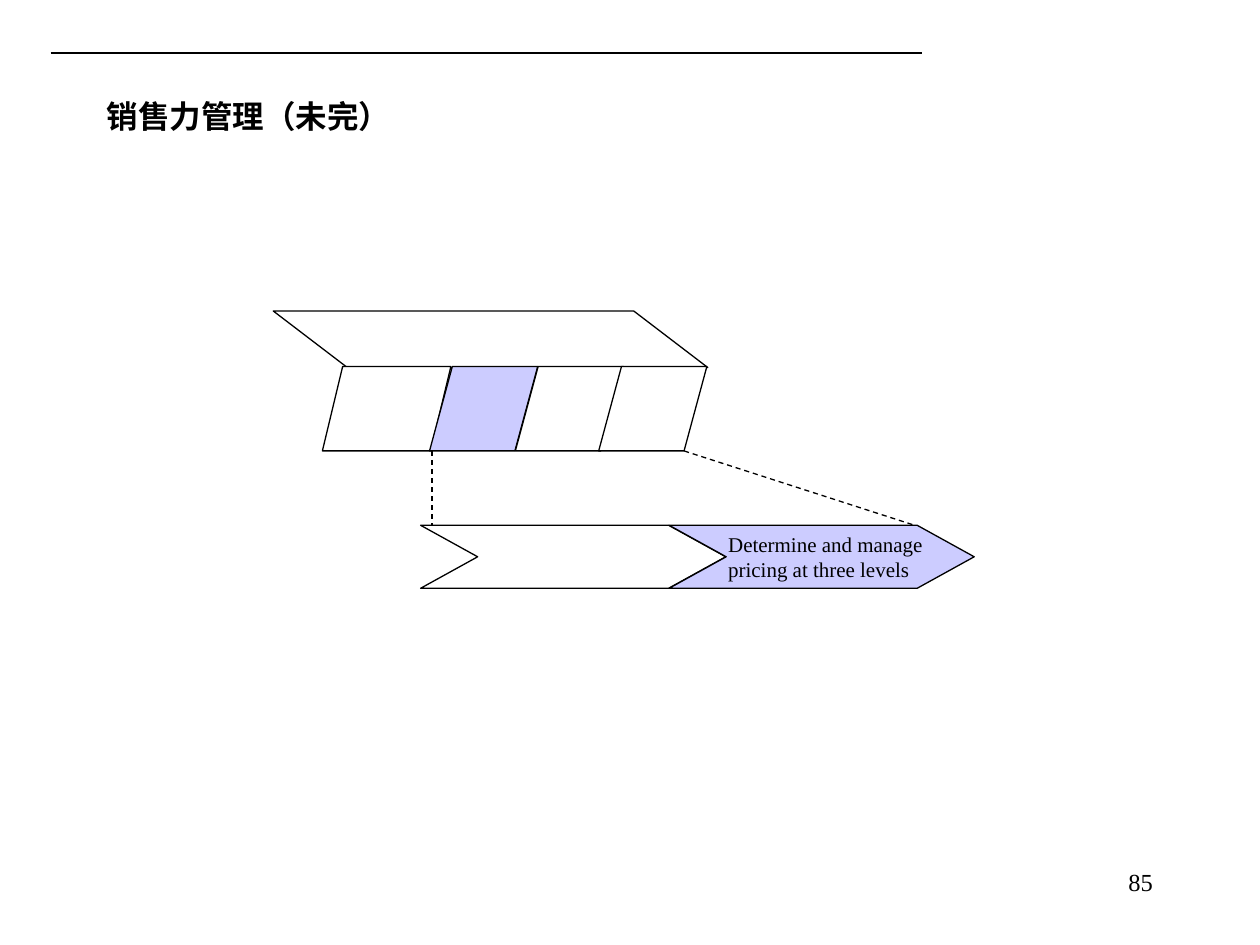
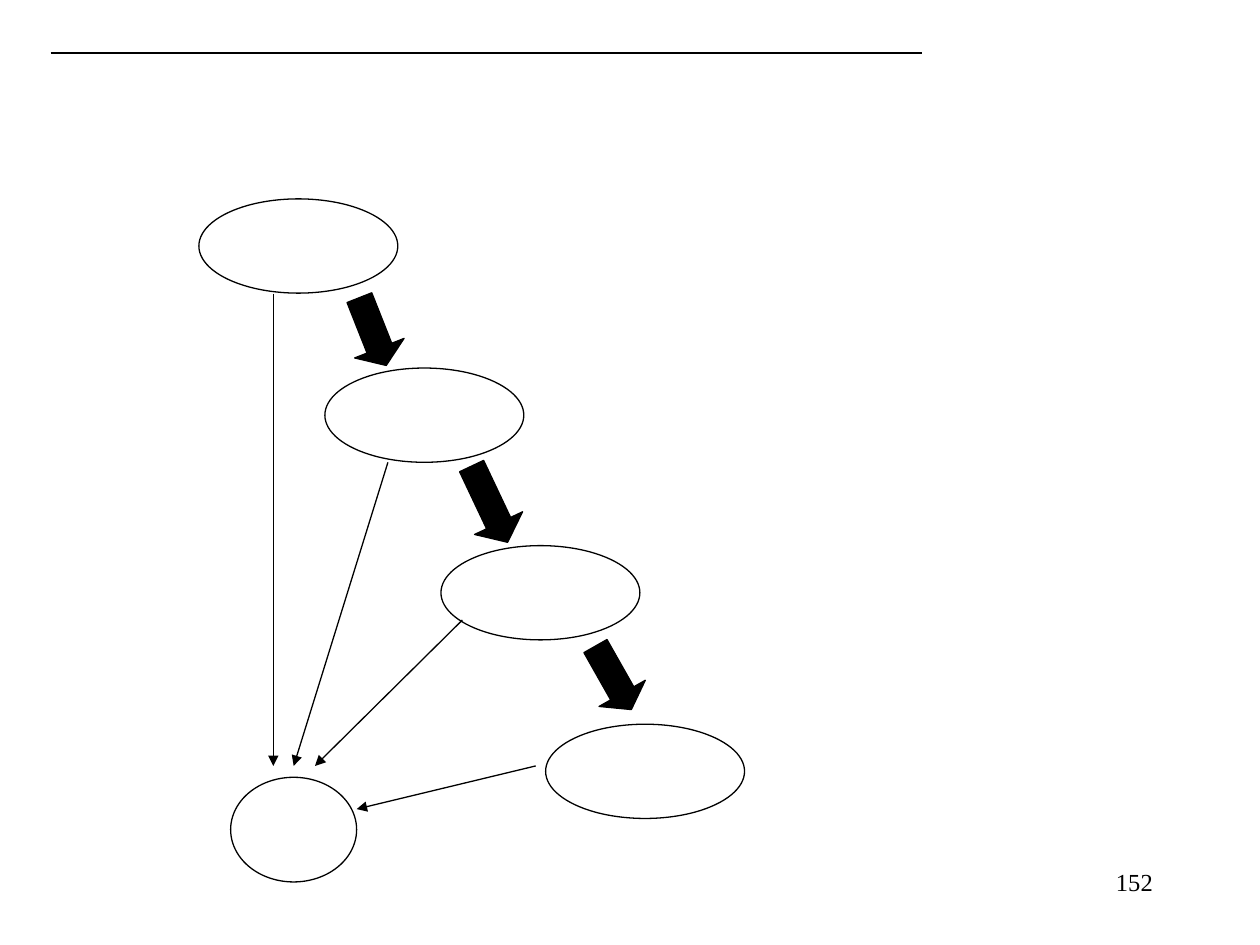
from dataclasses import dataclass

from pptx import Presentation
from pptx import util as u
from pptx.dml.color import RGBColor
from pptx.enum import dml, shapes, text
from pptx.oxml.ns import qn
from pptx.oxml.xmlchemy import OxmlElement
from pptx.util import Cm

FONT = "Times New Roman"
BLACK, WHITE, ACCENT = "000000", "FFFFFF", "CCCCFF"
KIND = shapes.MSO_SHAPE


@dataclass(frozen=True)
class Block:
    kind: int
    left: float
    top: float
    width: float
    height: float
    fill: str = WHITE
    adjustments: tuple[float, ...] = ()
    rotation: float = 0
    flip: bool = False


@dataclass(frozen=True)
class Line:
    x1: float
    y1: float
    x2: float
    y2: float
    width: float = 0.75
    dashed: bool = False
    arrow: bool = False


@dataclass(frozen=True)
class Chevron:
    left: float
    fill: str


HEADER_RULE = Line(1.02, 1.07, 18.59, 1.07, width=1.5)

ROW_TOP, ROW_HEIGHT = 7.39, 1.7
PRICING_BLOCKS = [Block(KIND.PARALLELOGRAM, 5.51, 6.27, 8.76, 1.14, adjustments=(1.31,), flip=True)] + [
    Block(KIND.PARALLELOGRAM, left, ROW_TOP, width, ROW_HEIGHT, fill, (slant,))
    for left, width, fill, slant in (
        (6.5, 2.59, WHITE, 0.24),
        (8.66, 2.18, ACCENT, 0.27),
        (10.39, 2.18, WHITE, 0.27),
        (12.07, 2.18, WHITE, 0.27),
    )
]

CHEVRON_TOP, CHEVRON_HEIGHT = 10.59, 1.27
CHEVRON_BODY, CHEVRON_POINT = 5.0, 1.15
CHEVRONS = [Chevron(8.48, WHITE), Chevron(13.49, ACCENT)]
ZOOM_LINES = [
    Line(x1, ROW_TOP + ROW_HEIGHT, x2, CHEVRON_TOP, dashed=True)
    for x1, x2 in ((8.71, 8.71), (13.79, 18.44))
]

STAGES = [
    Block(KIND.OVAL, left, top, 4.01, 1.9)
    for left, top in ((4.01, 4.01), (6.55, 7.42), (8.89, 11), (11, 14.6))
]
STAGE_ARROWS = [
    Block(KIND.RIGHT_ARROW, left, top, width, 1.07, BLACK, (0.5, head), angle)
    for left, top, width, head, angle in (
        (6.78, 6.15, 1.47, 0.35, 68.4),
        (9.02, 9.63, 1.7, 0.4, 64.7),
        (11.63, 13.13, 1.47, 0.35, 60.5),
    )
]
TARGET = Block(KIND.OVAL, 4.65, 15.67, 2.54, 2.11)
TARGET_LINES = [
    Line(x1, y1, x2, y2, arrow=True)
    for x1, y1, x2, y2 in (
        (5.51, 5.92, 5.51, 15.44),
        (7.82, 9.32, 5.92, 15.44),
        (9.32, 12.5, 6.35, 15.44),
        (10.8, 15.44, 7.19, 16.31),
    )
]


def color(hex_value: str) -> RGBColor:
    return RGBColor.from_string(hex_value)


def paint(sp, fill: str) -> None:
    sp.shadow.inherit = False
    sp.fill.solid()
    sp.fill.fore_color.rgb = color(fill)
    sp.line.color.rgb = color(BLACK)
    sp.line.width = u.Pt(0.75)


def add_block(s, block: Block) -> None:
    sp = s.shapes.add_shape(
        block.kind, Cm(block.left), Cm(block.top), Cm(block.width), Cm(block.height)
    )
    paint(sp, block.fill)
    for i, value in enumerate(block.adjustments):
        sp.adjustments[i] = value
    sp.rotation = block.rotation
    if block.flip:
        sp._element.spPr.find(qn("a:xfrm")).set("flipH", "1")


def add_chevron(s, chevron: Chevron) -> None:
    left, top = chevron.left, CHEVRON_TOP
    shoulder, bottom = left + CHEVRON_BODY, top + CHEVRON_HEIGHT
    middle = top + CHEVRON_HEIGHT / 2
    points = [
        (shoulder, top),
        (shoulder + CHEVRON_POINT, middle),
        (shoulder, bottom),
        (left, bottom),
        (left + CHEVRON_POINT, middle),
    ]
    builder = s.shapes.build_freeform(Cm(left), Cm(top))
    builder.add_line_segments([(Cm(x), Cm(y)) for x, y in points], close=True)
    paint(builder.convert_to_shape(), chevron.fill)


def add_line(s, line: Line) -> None:
    cx = s.shapes.add_connector(
        shapes.MSO_CONNECTOR.STRAIGHT, Cm(line.x1), Cm(line.y1), Cm(line.x2), Cm(line.y2)
    )
    cx.line.color.rgb = color(BLACK)
    cx.line.width = u.Pt(line.width)
    if line.dashed:
        cx.line.dash_style = dml.MSO_LINE.DASH
    if line.arrow:
        tail = OxmlElement("a:tailEnd")
        tail.set("type", "triangle")
        cx.line._get_or_add_ln().append(tail)
    cx._element.spPr.append(OxmlElement("a:effectLst"))


def write(tf, content: str, size: float, align: int, bold: bool = False) -> None:
    tf.word_wrap = True
    p = tf.paragraphs[0]
    p.text = content
    p.alignment = align
    p.font.name = FONT
    p.font.size = u.Pt(size)
    p.font.bold = bold
    p.font.color.rgb = color(BLACK)


def add_text(s, left: float, top: float, content: str, size: float, align: int):
    tf = s.shapes.add_textbox(Cm(left), Cm(top), Cm(5.28), Cm(1.27)).text_frame
    write(tf, content, size, align)
    return tf


def add_title(s, content: str) -> None:
    title = s.shapes.title
    title.left, title.top, title.width, title.height = Cm(1.9), Cm(1.07), Cm(21.59), Cm(2.54)
    tf = title.text_frame
    tf.vertical_anchor = text.MSO_ANCHOR.MIDDLE
    write(tf, content, 18, text.PP_ALIGN.LEFT, bold=True)


def new_slide(prs, layout: int, page: str):
    s = prs.slides.add_slide(prs.slide_layouts[layout])
    add_line(s, HEADER_RULE)
    add_text(s, 18.21, 17.35, page, 14, text.PP_ALIGN.RIGHT)
    return s


def build_sales_force(prs) -> None:
    s = new_slide(prs, 5, "85")
    add_title(s, "销售力管理（未完）")
    for block in PRICING_BLOCKS:
        add_block(s, block)
    for chevron in CHEVRONS:
        add_chevron(s, chevron)
    label = "Determine and manage pricing at three levels"
    tf = add_text(s, 14.43, CHEVRON_TOP, label, 12, text.PP_ALIGN.LEFT)
    tf.auto_size = text.MSO_AUTO_SIZE.SHAPE_TO_FIT_TEXT
    for line in ZOOM_LINES:
        add_line(s, line)


def build_stages(prs) -> None:
    s = new_slide(prs, 6, "152")
    for block in STAGES + STAGE_ARROWS + [TARGET]:
        add_block(s, block)
    for line in TARGET_LINES:
        add_line(s, line)


def main() -> None:
    prs = Presentation()
    prs.slide_width, prs.slide_height = Cm(25.4), Cm(19.05)
    build_sales_force(prs)
    build_stages(prs)
    prs.save("out.pptx")


if __name__ == "__main__":
    main()
